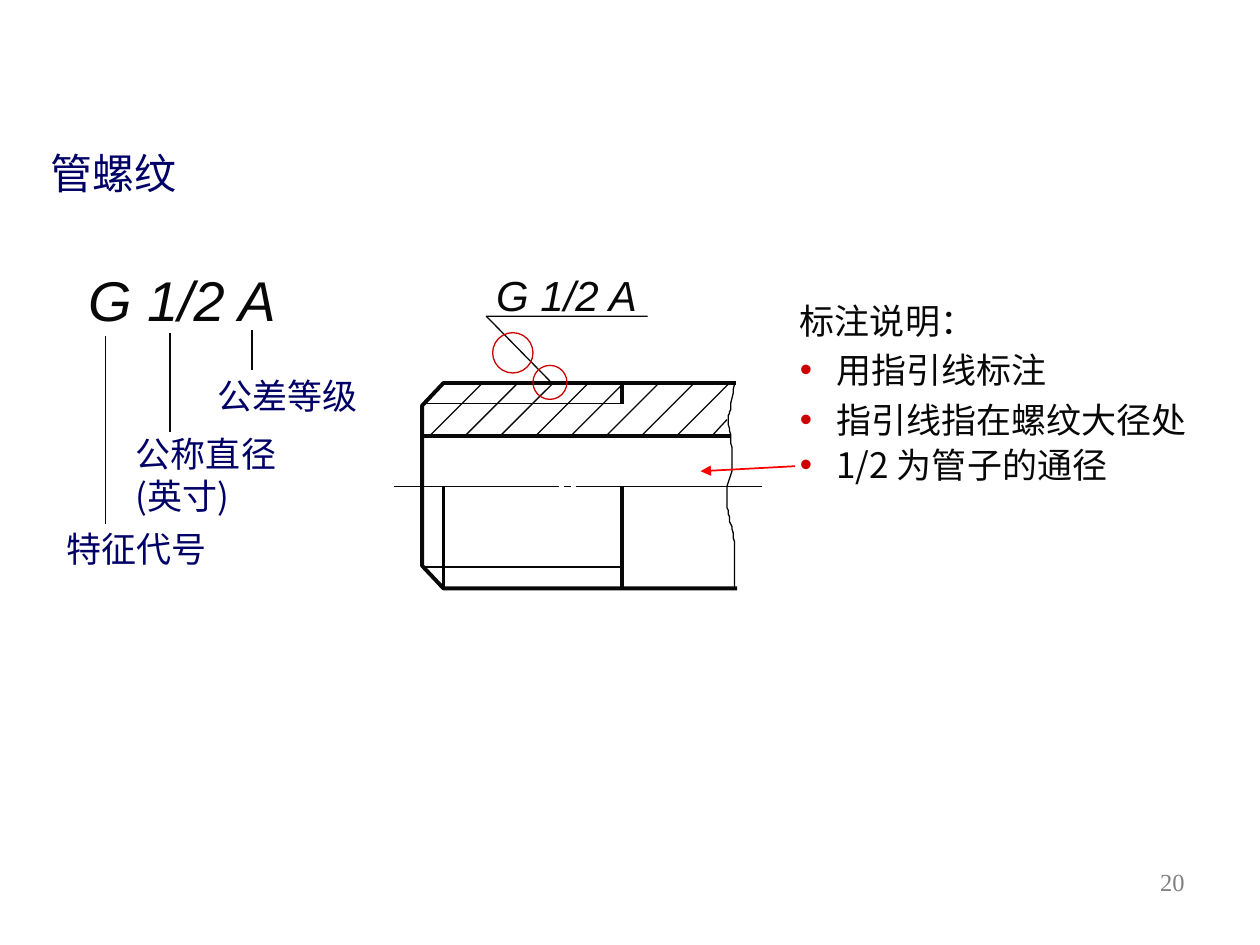
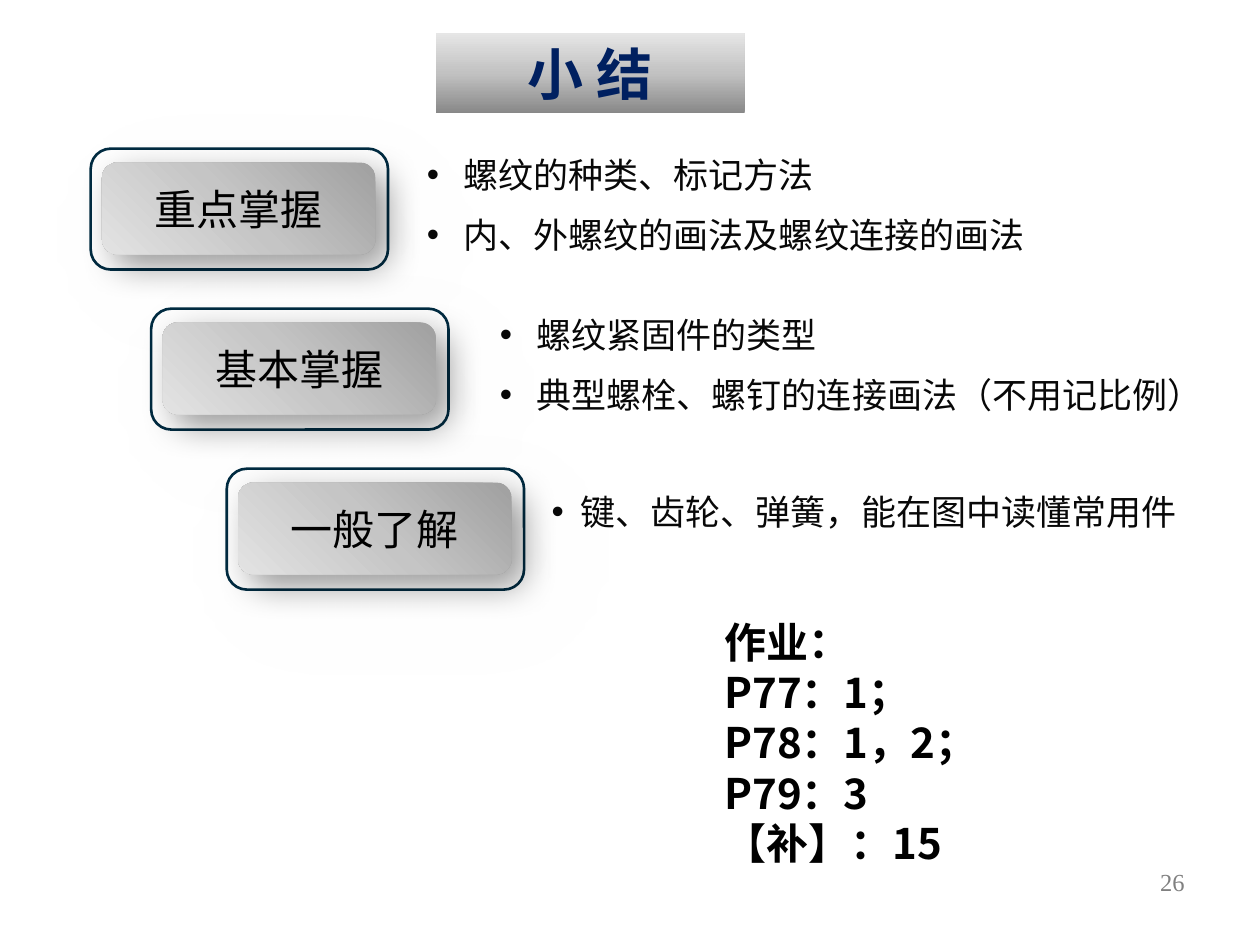
from lxml.etree import SubElement
from pptx import Presentation
from pptx.dml.color import RGBColor
from pptx.enum.shapes import MSO_CONNECTOR, MSO_SHAPE
from pptx.enum.text import MSO_ANCHOR as Anchor, PP_ALIGN as Align
from pptx.oxml import parse_xml
from pptx.oxml.ns import nsdecls, qn
from pptx.util import Pt

PX = 9144  # 100 px to the inch
CJK, ARIAL, TIMES = "Noto Sans CJK SC", "Arial", "Times New Roman"

INK = RGBColor(0x08, 0x08, 0x08)
BLACK = RGBColor(0x00, 0x00, 0x00)
NAVY = RGBColor(0x00, 0x00, 0x66)
TITLE_BLUE = RGBColor(0x00, 0x20, 0x60)
FRAME_BLUE = RGBColor(0x00, 0x2B, 0x41)
GREY = RGBColor(0x80, 0x80, 0x80)
DARK_RED = RGBColor(0xCC, 0x00, 0x00)
RED = RGBColor(0xFF, 0x00, 0x00)
BANNER_GREYS = ("888888", "C2C2C2", "E6E6E6")
BUTTON_GREYS = ("A0A0A0", "C5C5C5", "E3E3E3")

BODY = {"name": CJK, "size": Pt(20)}
HEADING = {"name": CJK, "size": Pt(24)}
BOLD_HEADING = HEADING | {"bold": True}
BANNER = {"name": CJK, "size": Pt(32), "bold": True}
CODE = {"name": ARIAL, "size": Pt(32), "italic": True}
SMALL_CODE = CODE | {"size": Pt(24)}
NUMBER = {"name": TIMES, "size": Pt(14)}

THIN, HAIR, THICK = 0.75, 0.5, 2.25


def smooth(points, steps=6):
    """Sample a Catmull-Rom curve through the points."""
    padded = [points[0], *points, points[-1]]
    curve = [points[0]]
    for a, b, c, d in zip(padded, padded[1:], padded[2:], padded[3:]):
        for step in range(1, steps + 1):
            t = step / steps
            curve.append(tuple(
                0.5 * (2 * q + (r - p) * t + (2 * p - 5 * q + 4 * r - s) * t ** 2
                       + (3 * q - p - 3 * r + s) * t ** 3)
                for p, q, r, s in zip(a, b, c, d)))
    return curve


class Deck:
    def __init__(self, width, height):
        self.presentation = Presentation()
        self.presentation.slide_width = width * PX
        self.presentation.slide_height = height * PX
        self.slide = None

    def new_slide(self, number):
        layout = self.presentation.slide_layouts[6]
        self.slide = self.presentation.slides.add_slide(layout)
        self.text((717, 683, 233, 52), [str(number)], NUMBER, GREY, align=Align.RIGHT)

    def fill_text(self, shape, lines, style, color, align=Align.LEFT, anchor=Anchor.TOP,
                  wrap=True, bullet=None, hang=0, gap=0):
        """Fill a shape with paragraphs; hang is the bullet indent in px."""
        frame = shape.text_frame
        frame.word_wrap = wrap
        frame.vertical_anchor = anchor
        for index, line in enumerate(lines):
            paragraph = frame.add_paragraph() if index else frame.paragraphs[0]
            paragraph.alignment = align
            if index and gap:
                paragraph.space_before = Pt(gap)
            if style["name"] == CJK:
                paragraph.line_spacing = Pt(style["size"].pt * 1.2)
            if bullet is not None:
                self.add_bullet(paragraph, bullet, hang)
            run = paragraph.add_run()
            run.text = line
            for key, value in style.items():
                setattr(run.font, key, value)
            run.font.color.rgb = color
            SubElement(run.font._element, qn("a:ea"), typeface=style["name"])

    def add_bullet(self, paragraph, color, hang):
        properties = paragraph._p.get_or_add_pPr()
        properties.set("marL", str(hang * PX))
        properties.set("indent", str(-hang * PX))
        holder = SubElement(properties, qn("a:buClr"))
        SubElement(holder, qn("a:srgbClr"), val=str(color))
        SubElement(properties, qn("a:buFont"), typeface=ARIAL)
        SubElement(properties, qn("a:buChar"), char="•")

    def text(self, box, lines, style, color, **options):
        shape = self.slide.shapes.add_textbox(*(value * PX for value in box))
        self.fill_text(shape, lines, style, color, **options)

    def outline(self, shape, color, width):
        shape.line.color.rgb = color
        shape.line.width = Pt(width)

    def shape(self, kind, box, line=None, greys=None, angle=0, shadow=None):
        shape = self.slide.shapes.add_shape(kind, *(value * PX for value in box))
        shape.shadow.inherit = False
        shape.fill.background()
        if line:
            self.outline(shape, *line)
        else:
            shape.line.fill.background()
        if greys:
            self.add_gradient(shape, greys, angle)
        if shadow:
            self.add_shadow(shape, *shadow)
        return shape

    def add_gradient(self, shape, greys, angle):
        stops = "".join(f'<a:gs pos="{index * 50000}"><a:srgbClr val="{grey}"/></a:gs>'
                        for index, grey in enumerate(greys))
        gradient = parse_xml(f'<a:gradFill {nsdecls("a")} rotWithShape="1"><a:gsLst>{stops}'
                             f'</a:gsLst><a:lin ang="{angle * 60000}" scaled="0"/></a:gradFill>')
        properties = shape._element.spPr
        properties.replace(properties.find(qn("a:noFill")), gradient)

    def add_shadow(self, shape, color, opacity, blur, distance):
        """Cast a shadow to the lower right; blur and distance are in points."""
        effects = shape._element.spPr.find(qn("a:effectLst"))
        cast = SubElement(effects, qn("a:outerShdw"), blurRad=str(Pt(blur)),
                          dist=str(Pt(distance)), dir="2700000", algn="tl", rotWithShape="0")
        tint = SubElement(cast, qn("a:srgbClr"), val=str(color))
        SubElement(tint, qn("a:alpha"), val=str(opacity * 1000))

    def line(self, x1, y1, x2, y2, width=THIN, color=INK, arrow=False):
        ends = (value * PX for value in (x1, y1, x2, y2))
        connector = self.slide.shapes.add_connector(MSO_CONNECTOR.STRAIGHT, *ends)
        self.outline(connector, color, width)
        if arrow:
            SubElement(connector.line._get_or_add_ln(), qn("a:tailEnd"), type="triangle")
        SubElement(connector._element.spPr, qn("a:effectLst"))

    def polyline(self, points, width=THIN, color=INK):
        builder = self.slide.shapes.build_freeform(*points[0], scale=PX)
        builder.add_line_segments(points[1:], close=False)
        shape = builder.convert_to_shape()
        shape.shadow.inherit = False
        shape.fill.background()
        self.outline(shape, color, width)

    def button(self, left, top, label):
        """A shaded key inside a rounded frame."""
        self.shape(MSO_SHAPE.ROUNDED_RECTANGLE, (left, top, 236, 96),
                   line=(FRAME_BLUE, 1.5), shadow=(GREY, 20, 50, 20))
        key = self.shape(MSO_SHAPE.ROUNDED_RECTANGLE, (left + 9, top + 11, 217, 73),
                         greys=BUTTON_GREYS, angle=135, shadow=(BLACK, 40, 20, 10))
        self.fill_text(key, [label], HEADING, BLACK, align=Align.CENTER, anchor=Anchor.MIDDLE)


def draw_pipe(deck):
    for start, end in ((605, 457), (453, 448), (444, 313)):
        deck.line(start, 386, end, 386, HAIR)
    for y in (450, 320):
        deck.line(336, y, 495, y)
    hatch_bottom, hatch_rise = 346, 43
    for x in range(341, 538, 28):
        deck.line(x, hatch_bottom, x + hatch_rise, hatch_bottom - hatch_rise)
    deck.line(565, hatch_bottom, 577, 333)
    deck.polyline([(584, 304), (352, 304), (335, 322), (335, 449), (352, 467), (585, 467)], THICK)
    deck.line(335, 346, 580, 346, THICK)
    deck.line(494, 386, 494, 467, THICK)
    deck.line(494, 320, 494, 303, THICK)
    break_edge = [(583, 303), (580, 323), (578, 333), (580, 347), (581, 363), (581, 372),
                  (577, 388), (577, 399), (579, 412), (582, 425), (583, 441), (583, 467)]
    deck.polyline(smooth(break_edge), color=BLACK)
    deck.line(352, 466, 352, 386, THICK, BLACK)


def pipe_thread_slide(deck):
    deck.new_slide(20)
    deck.text((30, 112, 235, 50), ["管螺纹"], HEADING, NAVY)
    deck.text((60, 202, 282, 70), ["G 1/2 A"], CODE, INK, anchor=Anchor.MIDDLE, wrap=False)
    for box, lines in (((43, 414, 238, 43), ["特征代号"]),
                       ((98, 338, 278, 77), ["公称直径", "(英寸)"]),
                       ((163, 292, 215, 43), ["公差等级"])):
        deck.text(box, lines, BODY, NAVY)
    for x, top, bottom in ((84, 267, 416), (135, 264, 343), (200, 262, 294)):
        deck.line(x, top, x, bottom)

    draw_pipe(deck)
    deck.text((384, 209, 196, 50), ["G 1/2 A"], SMALL_CODE, INK)
    deck.polyline([(437, 303), (386, 251), (514, 251)])

    deck.text((625, 233, 219, 43), ["标注说明："], BODY, INK)
    for top, note in ((272, "用指引线标注"), (311, "指引线指在螺纹大径处"),
                      (347, "1/2 为管子的通径")):
        deck.text((625, top, 344, 43), [note], BODY, INK, bullet=DARK_RED, hang=29)
    deck.line(631, 370, 556, 374, 1, RED, arrow=True)
    for left, top, size in ((391, 264, 32), (423, 290, 27)):
        deck.shape(MSO_SHAPE.OVAL, (left, top, size, size), line=(DARK_RED, THIN))


def summary_slide(deck):
    deck.new_slide(26)
    banner = deck.shape(MSO_SHAPE.RECTANGLE, (346, 26, 245, 64), greys=BANNER_GREYS, angle=270)
    deck.fill_text(banner, ["小 结"], BANNER, TITLE_BLUE, align=Align.CENTER,
                   anchor=Anchor.MIDDLE)

    levels = (
        (72, "重点掌握", (329, 117, 574, 114), 29,
         ["螺纹的种类、标记方法", "内、外螺纹的画法及螺纹连接的画法"]),
        (120, "基本掌握", (387, 244, 593, 94), 29,
         ["螺纹紧固件的类型", "典型螺栓、螺钉的连接画法（不用记比例）"]),
        (180, "一般了解", (428, 384, 570, 44), 23,
         ["键、齿轮、弹簧，能在图中读懂常用件"]),
    )
    for index, (left, label, box, hang, points) in enumerate(levels):
        deck.button(left, 118 + index * 127, label)
        deck.text(box, points, BODY, INK, bullet=INK, hang=hang, gap=10)

    homework = ["作业：", "P77：1；", "P78：1，2；", "P79：3", "【补】：15"]
    deck.text((565, 484, 239, 219), homework, BOLD_HEADING, BLACK)


def main():
    deck = Deck(1000, 750)
    pipe_thread_slide(deck)
    summary_slide(deck)
    deck.presentation.save("out.pptx")


if __name__ == "__main__":
    main()
